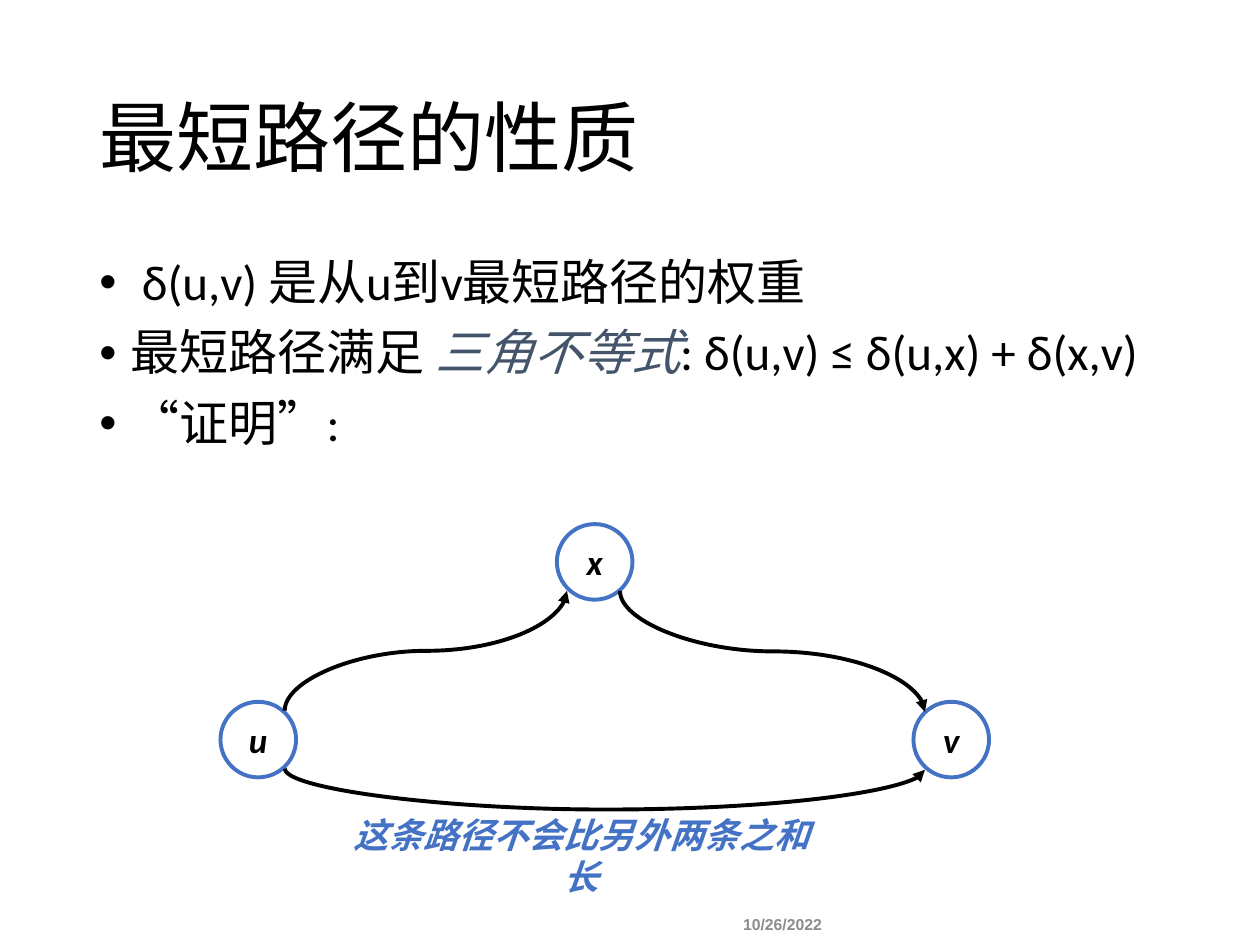
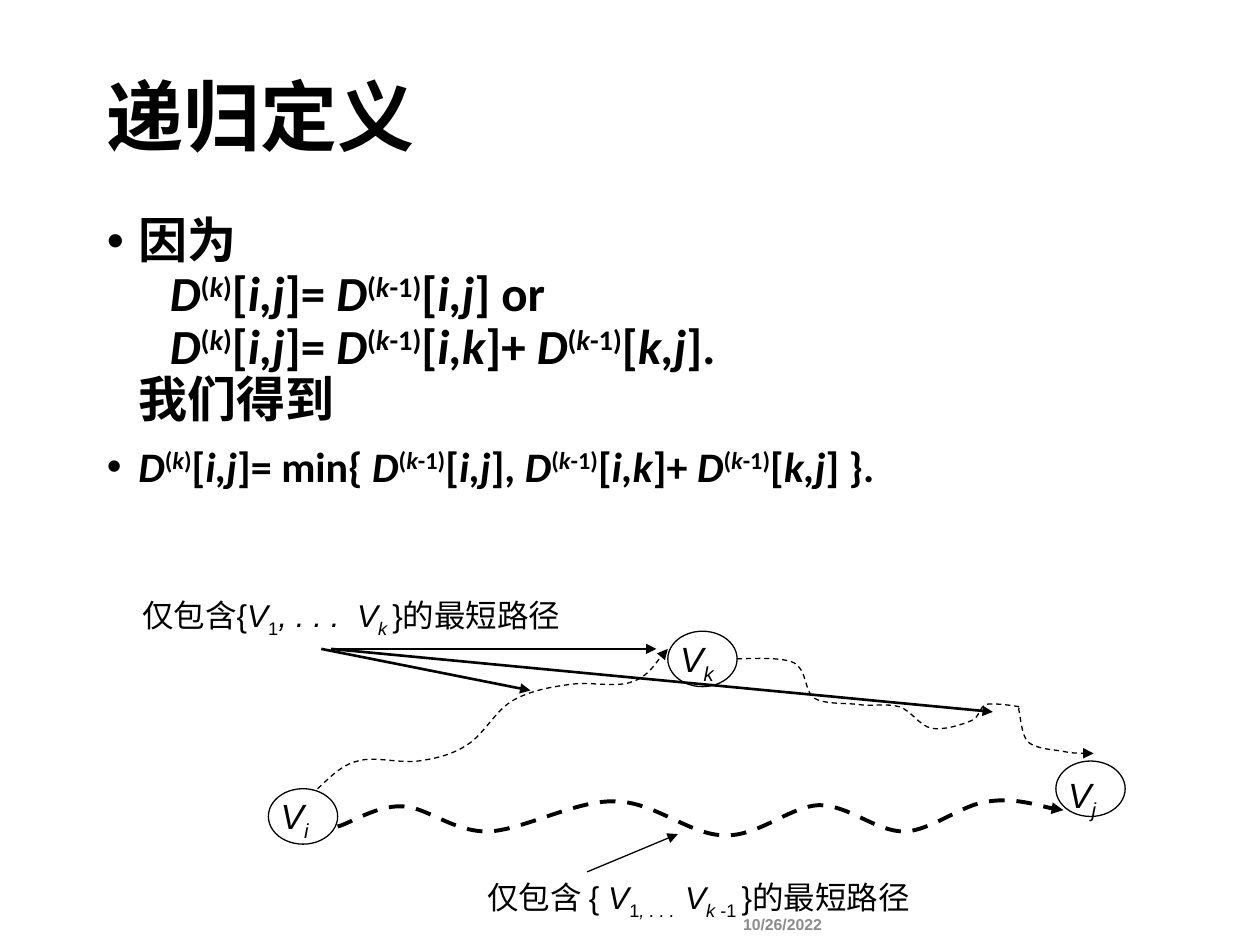
from dataclasses import dataclass

from pptx import Presentation
from pptx import util as u
from pptx.dml.color import RGBColor
from pptx.enum import dml, shapes, text
from pptx.oxml import ns
from lxml import etree

Inches, Pt = u.Inches, u.Pt


@dataclass(frozen=True)
class Theme:
    ink: str = "000000"
    paper: str = "FFFFFF"
    blue: str = "4472C4"
    slate: str = "44546A"
    grey: str = "8C8C8C"
    body_font: str = "Calibri"
    label_font: str = "Arial"
    title: int = 44
    body: int = 28
    formula: int = 24
    node: int = 20
    label: int = 18
    date: int = 9
    bold_line: float = 2.25
    thin_line: float = 0.75


THEME = Theme()


def rgb(value):
    return RGBColor.from_string(value)


def sub(parent, tag, **attrs):
    return etree.SubElement(parent, ns.qn(tag), **attrs)


class Deck:
    """Runs are (text, marks): i italic, ^ superscript, _ subscript, s slate."""

    def __init__(self, theme):
        self.t = theme
        self.prs = Presentation()
        self.prs.slide_width, self.prs.slide_height = Inches(10), Inches(7.5)
        self.s = None

    def slide(self, title, box, bold=False):
        self.s = self.prs.slides.add_slide(self.prs.slide_layouts[6])
        self.text(box, [(title, "")], self.t.title, bold=bold, middle=True, spacing=0.9)
        self.text((5.6, 7.17, 1.22, 0.33), [("10/26/2022", "")], self.t.date,
                  font=self.t.label_font, color=self.t.grey, bold=True,
                  middle=True, center=True)

    def runs(self, p, runs, size, font=None, color=None, bold=False):
        for words, marks in runs:
            if words == "\n":
                p.add_line_break()
                continue
            r = p.add_run()
            r.text = words
            r.font.name = font or self.t.body_font
            r.font.size = Pt(size)
            r.font.bold = bold
            r.font.italic = "i" in marks
            r.font.color.rgb = rgb(self.t.slate if "s" in marks else color or self.t.ink)
            for mark, shift in (("^", "30000"), ("_", "-25000")):
                if mark in marks:
                    r._r.get_or_add_rPr().set("baseline", shift)

    def frame(self, box):
        tf = self.s.shapes.add_textbox(*map(Inches, box)).text_frame
        tf.word_wrap = True
        return tf

    def text(self, box, runs, size, middle=False, center=False, spacing=None, **look):
        tf = self.frame(box)
        if middle:
            tf.vertical_anchor = text.MSO_ANCHOR.MIDDLE
        p = tf.paragraphs[0]
        p.alignment = text.PP_ALIGN.CENTER if center else text.PP_ALIGN.LEFT
        p.line_spacing = spacing
        self.runs(p, runs, size, **look)

    def bullets(self, box, items, bold=False):
        """Each item is (size, runs)."""
        tf = self.frame(box)
        for n, (size, runs) in enumerate(items):
            p = tf.add_paragraph() if n else tf.paragraphs[0]
            p.line_spacing, p.space_before = 0.9, Pt(10)
            pPr = p._p.get_or_add_pPr()
            pPr.set("marL", str(Inches(0.25)))
            pPr.set("indent", str(-Inches(0.25)))
            sub(pPr, "a:buFont", typeface="Arial")
            sub(pPr, "a:buChar", char="•")
            self.runs(p, runs, size, bold=bold)

    def ellipse(self, box, color, width, fill=None, name=None):
        sp = self.s.shapes.add_shape(shapes.MSO_SHAPE.OVAL, *map(Inches, box))
        sp.shadow.inherit = False
        if fill:
            sp.fill.solid()
            sp.fill.fore_color.rgb = rgb(fill)
        else:
            sp.fill.background()
        sp.line.color.rgb = rgb(color)
        sp.line.width = Pt(width)
        if name:
            tf = sp.text_frame
            tf.vertical_anchor = text.MSO_ANCHOR.MIDDLE
            p = tf.paragraphs[0]
            p.alignment = text.PP_ALIGN.CENTER
            self.runs(p, [(name, "i")], self.t.node, bold=True)

    def arrow_line(self, sp, width, dashed=False):
        sp.line.color.rgb = rgb(self.t.ink)
        sp.line.width = Pt(width)
        if dashed:
            sp.line.dash_style = dml.MSO_LINE.DASH
        sub(sp._element.spPr.find(ns.qn("a:ln")), "a:tailEnd", type="triangle")

    def connector(self, kind, start, end, width):
        c = self.s.shapes.add_connector(kind, *map(Inches, (*start, *end)))
        self.arrow_line(c, width)
        sub(c._element.spPr, "a:effectLst")
        return c

    def arrow(self, start, end, width):
        self.connector(shapes.MSO_CONNECTOR.STRAIGHT, start, end, width)

    def curve(self, start, end, bend=0.5):
        """Curved arrow that leaves and arrives vertically: a quarter-turned connector."""
        cx, cy = (start[0] + end[0]) / 2, (start[1] + end[1]) / 2
        turned = [(cx - (y - cy), cy + (x - cx)) for x, y in (start, end)]
        c = self.connector(shapes.MSO_CONNECTOR.CURVE, *turned, self.t.bold_line)
        spPr = c._element.spPr
        spPr.find(ns.qn("a:xfrm")).set("rot", str(270 * 60000))
        geom = spPr.find(ns.qn("a:prstGeom"))
        for old in list(geom):
            geom.remove(old)
        sub(sub(geom, "a:avLst"), "a:gd", name="adj1", fmla=f"val {round(bend * 100000)}")

    def wave(self, start, beziers, width):
        """Dashed arrow; each bezier is two control points and an end point."""
        points = [(Inches(x), Inches(y)) for b in beziers for x, y in zip(b[::2], b[1::2])]
        fb = self.s.shapes.build_freeform(*map(Inches, start))
        fb.add_line_segments(points, close=False)
        sp = fb.convert_to_shape()
        sp.shadow.inherit = False
        sp.fill.background()
        self.arrow_line(sp, width, dashed=True)
        route = sp._element.spPr.find(".//" + ns.qn("a:path"))
        steps = route.findall(ns.qn("a:lnTo"))
        for n in range(0, len(steps), 3):
            cubic = sub(route, "a:cubicBezTo")
            for step in steps[n:n + 3]:
                cubic.append(step[0])
                route.remove(step)


def distance(pair, previous=True):
    """Runs for D with a superscript (k) or (k-1) and a vertex pair."""
    return [("D", "i"), ("(", "^"), ("k", "i^"), ("-1)" if previous else ")", "^"),
            ("[", ""), (pair, "i"), ("]", "")]


def triangle_slide(deck):
    t = deck.t
    deck.slide("最短路径的性质", (0.69, 0.4, 8.62, 1.45))
    deck.bullets((0.69, 2, 8.62, 4.76), [
        (t.body, [(" δ(u,v) 是从u到v最短路径的权重", "")]),
        (t.body, [("最短路径满足 ", ""), ("三角不等式", "is"),
                  (": δ(u,v) ≤ δ(u,x) + δ(x,v)", "")]),
        (t.body, [("“证明”:", "")]),
    ])
    for name, x, y in (("x", 4.42, 4.16), ("u", 1.75, 5.57), ("v", 7.25, 5.57)):
        deck.ellipse((x, y, 0.6, 0.6), t.blue, t.bold_line, t.paper, name)
    deck.curve((2.26, 5.64), (4.5, 4.69))
    deck.curve((4.92, 4.69), (7.34, 5.65))
    deck.curve((2.26, 6.1), (7.34, 6.11), bend=33)
    deck.text((2.57, 6.41, 4.09, 0.43), [("这条路径不会比另外两条之和长", "i")], t.node,
              color=t.blue, bold=True, center=True)


def recursion_slide(deck):
    t = deck.t
    deck.slide("递归定义", (0.75, 0.33, 8.5, 1.25), bold=True)
    new, split = distance("i,j", previous=False), distance("i,k")
    split = [*split, ("+ ", ""), *distance("k,j")]
    deck.bullets((0.75, 1.67, 8.5, 2.42), [
        (t.body, [("因为", ""), ("\n", ""),
                  ("\t", ""), *new, ("= ", ""), *distance("i,j"), (" or", ""), ("\n", ""),
                  ("\t", ""), *new, ("= ", ""), *split, (".", ""), ("\n", ""),
                  ("我们得到", "")]),
        (t.formula, [*new, ("= min{ ", ""), *distance("i,j"), (", ", ""), *split,
                     (" }.", "")]),
    ], bold=True)

    vertices = (("i", 2.13, 6.26, 6.26), ("j", 8.38, 6.04, 6.09), ("k", 5.3, 5.01, 5.01))
    for index, x, y, label_y in vertices:
        deck.ellipse((x, y, 0.55, 0.44), t.ink, t.thin_line)
        deck.text((x, label_y, 0.63, 0.43), [("V", "i"), (index, "i_")], t.node,
                  font=t.label_font)

    deck.wave((2.68, 6.56), [
        (2.77, 6.54, 2.99, 6.39, 3.19, 6.4), (3.38, 6.4, 3.59, 6.6, 3.87, 6.6),
        (4.15, 6.59, 4.57, 6.35, 4.88, 6.36), (5.19, 6.36, 5.48, 6.63, 5.75, 6.63),
        (6.02, 6.64, 6.27, 6.4, 6.5, 6.39), (6.74, 6.39, 6.95, 6.6, 7.18, 6.6),
        (7.4, 6.59, 7.64, 6.38, 7.85, 6.36), (8.06, 6.33, 8.32, 6.42, 8.44, 6.43),
    ], t.bold_line)
    deck.wave((2.52, 6.26), [
        (2.62, 6.17, 2.71, 6.07, 2.84, 6.04), (2.97, 6, 3.17, 6.06, 3.32, 6.04),
        (3.46, 6.02, 3.59, 5.99, 3.71, 5.91), (3.84, 5.83, 3.93, 5.64, 4.07, 5.56),
        (4.21, 5.48, 4.38, 5.45, 4.54, 5.43), (4.7, 5.41, 4.89, 5.46, 5.02, 5.41),
        (5.14, 5.37, 5.24, 5.21, 5.3, 5.15),
    ], t.thin_line)
    deck.wave((5.85, 5.23), [
        (5.92, 5.23, 6.2, 5.21, 6.3, 5.26), (6.41, 5.32, 6.38, 5.48, 6.46, 5.54),
        (6.54, 5.59, 6.69, 5.58, 6.8, 5.59), (6.91, 5.61, 7.04, 5.58, 7.14, 5.61),
        (7.23, 5.64, 7.3, 5.76, 7.39, 5.78), (7.49, 5.8, 7.64, 5.75, 7.71, 5.72),
        (7.78, 5.69, 7.77, 5.61, 7.83, 5.59), (7.89, 5.58, 8.04, 5.6, 8.09, 5.61),
        (8.13, 5.62, 8.07, 5.6, 8.09, 5.65), (8.1, 5.7, 8.11, 5.84, 8.16, 5.89),
        (8.22, 5.94, 8.34, 5.95, 8.42, 5.96), (8.51, 5.98, 8.63, 5.98, 8.68, 5.98),
    ], t.thin_line)

    deck.arrow((4.66, 6.92), (5.38, 6.62), t.thin_line)
    deck.arrow((2.55, 5.15), (4.21, 5.48), 1.5)
    deck.arrow((2.63, 5.15), (7.88, 5.65), 1.5)
    deck.arrow((2.63, 5.15), (5.21, 5.15), 1)

    deck.text((3.77, 6.92, 4.73, 0.4),
              [("仅包含 { ", ""), ("V", "i"), ("1", "_"), (", . . .  ", "i_"), ("V", "i"),
               ("k", "i_"), (" -1 ", "_"), ("}的最短路径", "")],
              t.label, font=t.label_font)
    deck.text((1.03, 4.68, 4.31, 0.4),
              [("仅包含{", ""), ("V", "i"), ("1", "_"), (", . . .  V", "i"),
               ("k ", "i_"), ("}的最短路径", "")],
              t.label, font=t.label_font)


def main():
    deck = Deck(THEME)
    triangle_slide(deck)
    recursion_slide(deck)
    deck.prs.save("out.pptx")


if __name__ == "__main__":
    main()
